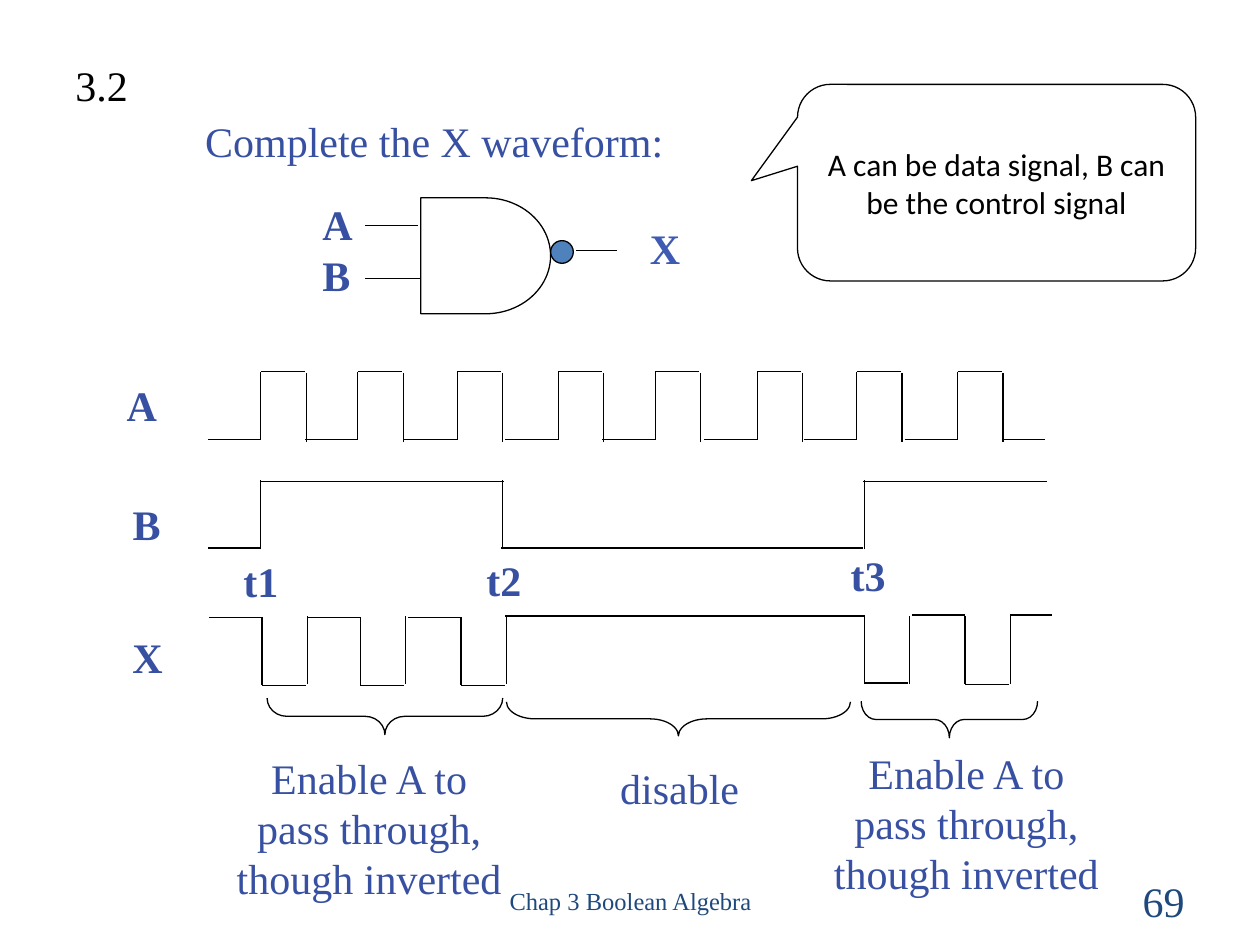
from lxml import etree
from pptx import Presentation
from pptx.dml.color import RGBColor
from pptx.enum.shapes import MSO_CONNECTOR, MSO_SHAPE
from pptx.enum.text import MSO_ANCHOR, PP_ALIGN
from pptx.oxml.ns import qn
from pptx.util import Inches, Pt

STRAIGHT = MSO_CONNECTOR.STRAIGHT
LEFT, CENTER, RIGHT = PP_ALIGN.LEFT, PP_ALIGN.CENTER, PP_ALIGN.RIGHT
TOP, MIDDLE = MSO_ANCHOR.TOP, MSO_ANCHOR.MIDDLE
BRACE, DELAY = MSO_SHAPE.LEFT_BRACE, MSO_SHAPE.FLOWCHART_DELAY
OVAL, CALLOUT = MSO_SHAPE.OVAL, MSO_SHAPE.ROUNDED_RECTANGULAR_CALLOUT
SERIF = "Times New Roman"
COLORS = {"ink": "000000", "label": "3750A1", "output": "3E5AB2",
          "footer": "1F497D", "bubble": "4F81BD"}

prs = Presentation()
prs.slide_width, prs.slide_height = Inches(10), Inches(7.5)
slide = prs.slides.add_slide(prs.slide_layouts[6])


def write(frame, text, color="label", align=CENTER, size=24, bold=False,
          wrap=True, anchor=TOP, spacing=None, font=SERIF):
    """Fill a text frame with one paragraph per line of text."""
    frame.word_wrap, frame.vertical_anchor = wrap, anchor
    frame.text = text
    for paragraph in frame.paragraphs:
        paragraph.alignment, paragraph.line_spacing = align, spacing
        paragraph.font.name, paragraph.font.size = font, Pt(size)
        paragraph.font.bold = bold
        paragraph.font.color.rgb = RGBColor.from_string(COLORS[color])


def outline(item):
    """Give a shape or connector the thin black line."""
    item.line.color.rgb = RGBColor.from_string(COLORS["ink"])
    item.line.width = Pt(0.75)


# Waveforms and gate leads, as (x1, y1, x2, y2)
segments = []

# Signal A: a clock of eight pulses
for rise in (2.07, 2.84, 3.63, 4.43, 5.2, 6.01, 6.8, 7.6):
    segments += [(rise - 0.42, 3.49, rise, 3.49), (rise, 3.49, rise, 2.95),
                 (rise, 2.95, rise + 0.35, 2.95),
                 (rise + 0.36, 3.51, rise + 0.36, 2.96)]
segments.append((7.95, 3.49, 8.29, 3.49))

# Signal B: high from t1 to t2 and from t3 on
for edge in (2.07, 3.99, 6.86):
    segments.append((edge, 4.36, edge, 3.81))
segments += [(1.65, 4.35, 2.07, 4.35), (2.07, 3.82, 4, 3.82),
             (3.98, 4.35, 6.85, 4.35), (6.85, 3.82, 8.31, 3.82)]

# Output X: inverted pulses while B is high
for fall, high in ((2.08, 4.9), (2.86, 4.9), (3.66, 4.9), (6.86, 4.88), (7.66, 4.89)):
    low = high + 0.54
    segments += [(fall, high, fall, low), (fall, low, fall + 0.35, low),
                 (fall + 0.36, 4.89, fall + 0.36, 5.43)]
segments += [(1.66, 4.9, 2.08, 4.9), (2.44, 4.9, 2.86, 4.9), (3.24, 4.9, 3.66, 4.9),
             (4.01, 4.89, 6.86, 4.89), (7.24, 4.88, 7.66, 4.88), (8.02, 4.88, 8.35, 4.88)]

# Gate leads
segments += [(2.9, 1.79, 3.32, 1.79), (2.9, 2.21, 3.34, 2.21), (4.57, 1.99, 4.9, 1.99)]

for ends in segments:
    wire = slide.shapes.add_connector(STRAIGHT, *(Inches(v) for v in ends))
    outline(wire)
    etree.SubElement(wire._element.spPr, qn("a:effectLst"))

# NAND gate, braces under X, and the callout
for kind, box, rotation, adjustments, fill in (
    (DELAY, (3.34, 1.57, 1.03, 0.92), 0, (), None),
    (OVAL, (4.37, 1.91, 0.18, 0.18), 0, (), "bubble"),
    (BRACE, (2.91, 4.75, 0.29, 1.87), 270, (0.542, 0.5), None),
    (BRACE, (5.25, 4.34, 0.27, 2.73), 270, (0.839, 0.5), None),
    (BRACE, (7.39, 5.01, 0.29, 1.4), 270, (0.405, 0.5), None),
    (CALLOUT, (6.33, 0.67, 3.16, 1.56), 0, (-0.616, -0.01, 0.167), None),
):
    shape = slide.shapes.add_shape(kind, *(Inches(v) for v in box))
    shape.shadow.inherit = False
    shape.rotation = rotation
    for index, value in enumerate(adjustments):
        shape.adjustments[index] = value
    if fill:
        shape.fill.solid()
        shape.fill.fore_color.rgb = RGBColor.from_string(COLORS[fill])
    else:
        shape.fill.background()
    outline(shape)
    if kind == CALLOUT:
        write(shape.text_frame, "A can be data signal, B can be the control signal",
              color="ink", size=18, anchor=MIDDLE, font="Calibri")

enabled = "Enable A to pass through, though inverted"
name = {"bold": True}
pin = {"bold": True, "align": LEFT, "wrap": False}
time = {"bold": True, "spacing": 0.8}
for text, box, style in (
    ("3.2", (0.5, 0.42, 0.62, 0.5), {"color": "ink", "align": LEFT, "wrap": False}),
    ("Complete the X waveform:", (1.53, 0.87, 5.27, 0.5), {"align": LEFT}),
    ("A\nB", (2.46, 1.53, 0.44, 0.9), pin),
    ("X", (5.06, 1.72, 0.44, 0.5), {**pin, "color": "output"}),
    ("A", (0.89, 2.96, 0.47, 0.5), name),
    ("B", (0.91, 3.91, 0.51, 0.5), name),
    ("X", (0.85, 4.96, 0.64, 0.5), name),
    ("t1", (1.73, 4.44, 0.68, 0.42), time),
    ("t2", (3.66, 4.43, 0.68, 0.42), time),
    ("t3", (6.55, 4.39, 0.68, 0.42), time),
    (enabled, (1.76, 5.92, 2.34, 1.3), {}),
    ("disable", (4.56, 6, 1.67, 0.5), {}),
    (enabled, (6.5, 5.88, 2.34, 1.3), {}),
    ("Chap 3 Boolean Algebra", (3.42, 6.95, 3.17, 0.4),
     {"color": "footer", "size": 14, "anchor": MIDDLE}),
    ("69", (7.17, 6.95, 2.33, 0.4),
     {"color": "footer", "align": RIGHT, "anchor": MIDDLE}),
):
    label = slide.shapes.add_textbox(*(Inches(v) for v in box))
    write(label.text_frame, text, **style)

prs.save("out.pptx")
